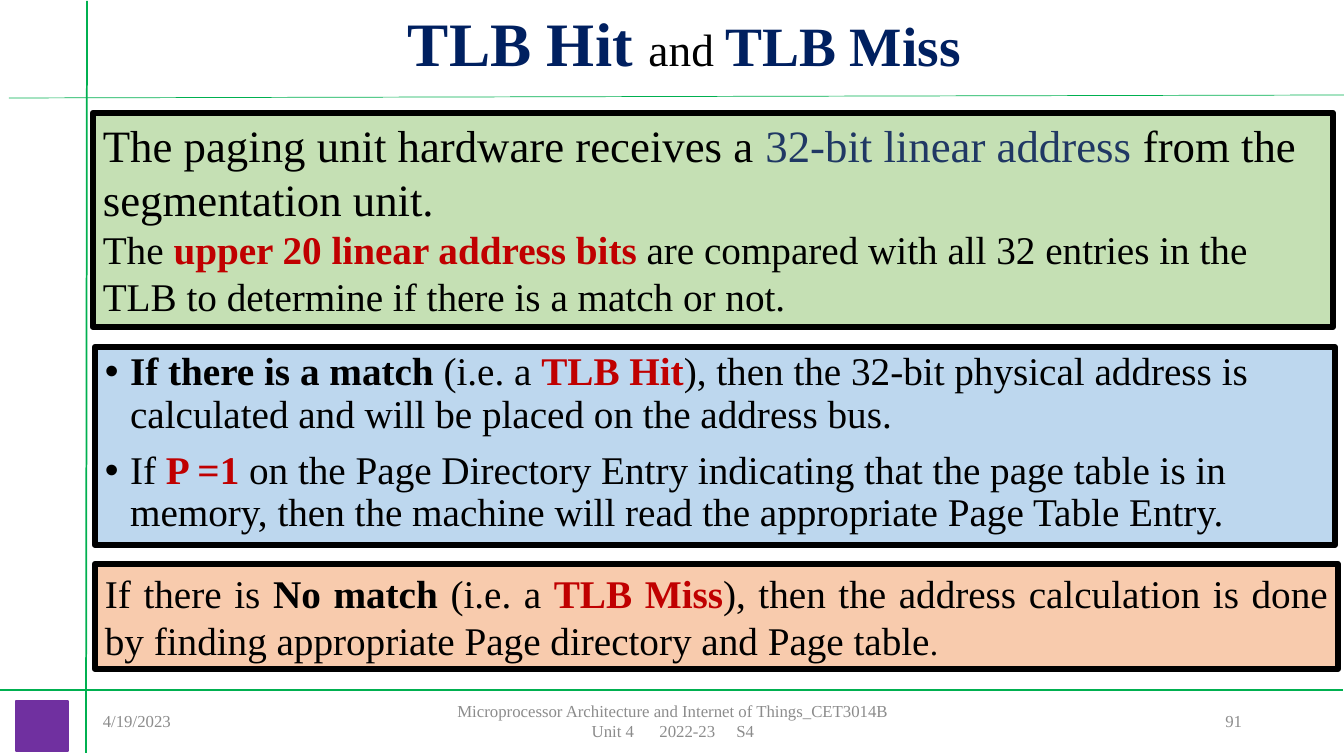
from lxml.etree import SubElement
from pptx import Presentation
from pptx.dml.color import RGBColor
from pptx.enum.shapes import MSO_CONNECTOR as Connector, MSO_SHAPE as Shape
from pptx.enum.text import MSO_ANCHOR as Anchor, PP_ALIGN as Align
from pptx.oxml.ns import qn
from pptx.util import Emu, Pt

PX = 914400 / 100.8
FONT = "Times New Roman"
BLACK = RGBColor(0x00, 0x00, 0x00)
NAVY = RGBColor(0x00, 0x20, 0x60)
SLATE = RGBColor(0x20, 0x38, 0x64)
RED = RGBColor(0xC0, 0x00, 0x00)
GREY = RGBColor(0x8C, 0x8C, 0x8C)
GREEN = RGBColor(0x00, 0xB0, 0x50)
PURPLE = RGBColor(0x70, 0x30, 0xA0)
PALE_GREEN = RGBColor(0xC5, 0xE0, 0xB4)
PALE_BLUE = RGBColor(0xBD, 0xD7, 0xEE)
PALE_ORANGE = RGBColor(0xF8, 0xCB, 0xAD)

BODY = {"size": Pt(28), "color": BLACK}
STRONG = BODY | {"bold": True}
KEY = STRONG | {"color": RED}
LEAD = BODY | {"size": Pt(32)}
SMALL = {"size": Pt(12), "color": GREY}
TIGHT = {"line_spacing": 0.9}
CENTERED = {"alignment": Align.CENTER}

TITLE = [[
    ("TLB Hit ", {"size": Pt(44.1), "color": NAVY, "bold": True}),
    ("and ", {"size": Pt(32.4), "color": BLACK}),
    ("TLB Miss", {"size": Pt(39.6), "color": NAVY, "bold": True}),
]]
PAGING = [
    [("The paging unit hardware receives a ", LEAD),
     ("32-bit linear address ", LEAD | {"color": SLATE}),
     ("from the segmentation unit.", LEAD)],
    [("The ", BODY), ("upper 20 linear address bits ", KEY),
     ("are compared with all 32 entries in the TLB to determine "
      "if there is a match or not.", BODY)],
]
HIT = [
    [("If there is a match ", STRONG), ("(i.e. a ", BODY), ("TLB Hit", KEY),
     ("), then the 32-bit physical address is calculated and will be "
      "placed on the address bus.", BODY)],
    [("If ", BODY), ("P =1 ", KEY),
     ("on the Page Directory Entry indicating that the page table is in memory, "
      "then the machine will read the appropriate Page Table Entry.", BODY)],
]
MISS = [[
    ("If there is ", BODY), ("No match ", STRONG), ("(i.e. a ", BODY),
    ("TLB Miss", KEY),
    ("), then the address calculation is done by finding appropriate "
     "Page directory and Page table", BODY),
    (".", BODY | {"size": Pt(24)}),
]]
FOOTER = [[
    ("Microprocessor Architecture and Internet of Things_CET3014B Unit 4", SMALL),
    (" ", SMALL | {"tracking": 1500}), ("2022-23", SMALL),
    (" ", SMALL | {"tracking": 1200}), ("S4", SMALL),
]]

LABELS = [
    ((130, 11, 1109, 71), TITLE, CENTERED | TIGHT),
    ((93, 701, 302, 40), [[("4/19/2023", SMALL)]], {}),
    ((446, 701, 454, 40), FOOTER, CENTERED),
    ((950, 701, 302, 40), [[("91", SMALL)]], {"alignment": Align.RIGHT}),
]
PANELS = [
    ((95, 347, 1240, 198), PALE_BLUE, HIT, TIGHT, True),
    ((95, 564, 1243, 105), PALE_ORANGE, MISS, {"alignment": Align.JUSTIFY}, False),
    ((93, 113, 1240, 214), PALE_GREEN, PAGING, {}, False),
]
RULES = [
    ((9, 98, 1353, 95), 0.5),
    ((87, 1, 86, 753), 1.25),
    ((-1, 690, 1343, 690), 1.25),
]
MARKER = (16, 701, 52, 50)


def scaled(lengths):
    return [Emu(round(length * PX)) for length in lengths]


def add_bullet(para):
    props = para._p.get_or_add_pPr()
    props.set("marL", "228600")
    props.set("indent", "-228600")
    SubElement(props, qn("a:buFont")).set("typeface", "Arial")
    SubElement(props, qn("a:buChar")).set("char", "•")


def write(box, paragraphs, layout, anchor, bulleted=False):
    frame = box.text_frame
    frame.word_wrap = True
    frame.vertical_anchor = anchor
    for index, spans in enumerate(paragraphs):
        para = frame.add_paragraph() if index else frame.paragraphs[0]
        for name, value in ({"alignment": Align.LEFT} | layout).items():
            setattr(para, name, value)
        if bulleted:
            para.space_before = Pt(10 if index else 0)
            add_bullet(para)
        for text, style in spans:
            span = para.add_run()
            span.text = text
            for name, value in ({"name": FONT, "bold": False} | style).items():
                if name == "color":
                    span.font.color.rgb = value
                elif name == "tracking":
                    span._r.get_or_add_rPr().set("spc", str(value))
                else:
                    setattr(span.font, name, value)


def add_rectangle(page, place, fill, outline, width):
    box = page.shapes.add_shape(Shape.RECTANGLE, *scaled(place))
    box.shadow.inherit = False
    box.fill.solid()
    box.fill.fore_color.rgb = fill
    box.line.color.rgb = outline
    box.line.width = Pt(width)
    SubElement(box._element.spPr.find(qn("a:ln")), qn("a:round"))
    return box


def main():
    deck = Presentation()
    deck.slide_width, deck.slide_height = scaled((1344, 756))
    page = deck.slides.add_slide(deck.slide_layouts[6])
    for place, paragraphs, layout in LABELS:
        box = page.shapes.add_textbox(*scaled(place))
        write(box, paragraphs, layout, Anchor.MIDDLE)
    for place, fill, paragraphs, layout, bulleted in PANELS:
        box = add_rectangle(page, place, fill, BLACK, 4.5)
        write(box, paragraphs, layout, Anchor.TOP, bulleted)
    add_rectangle(page, MARKER, PURPLE, PURPLE, 1)
    for ends, width in RULES:
        rule = page.shapes.add_connector(Connector.STRAIGHT, *scaled(ends))
        rule.line.color.rgb = GREEN
        rule.line.width = Pt(width)
        SubElement(rule._element.spPr, qn("a:effectLst"))
    deck.save("out.pptx")


if __name__ == "__main__":
    main()
